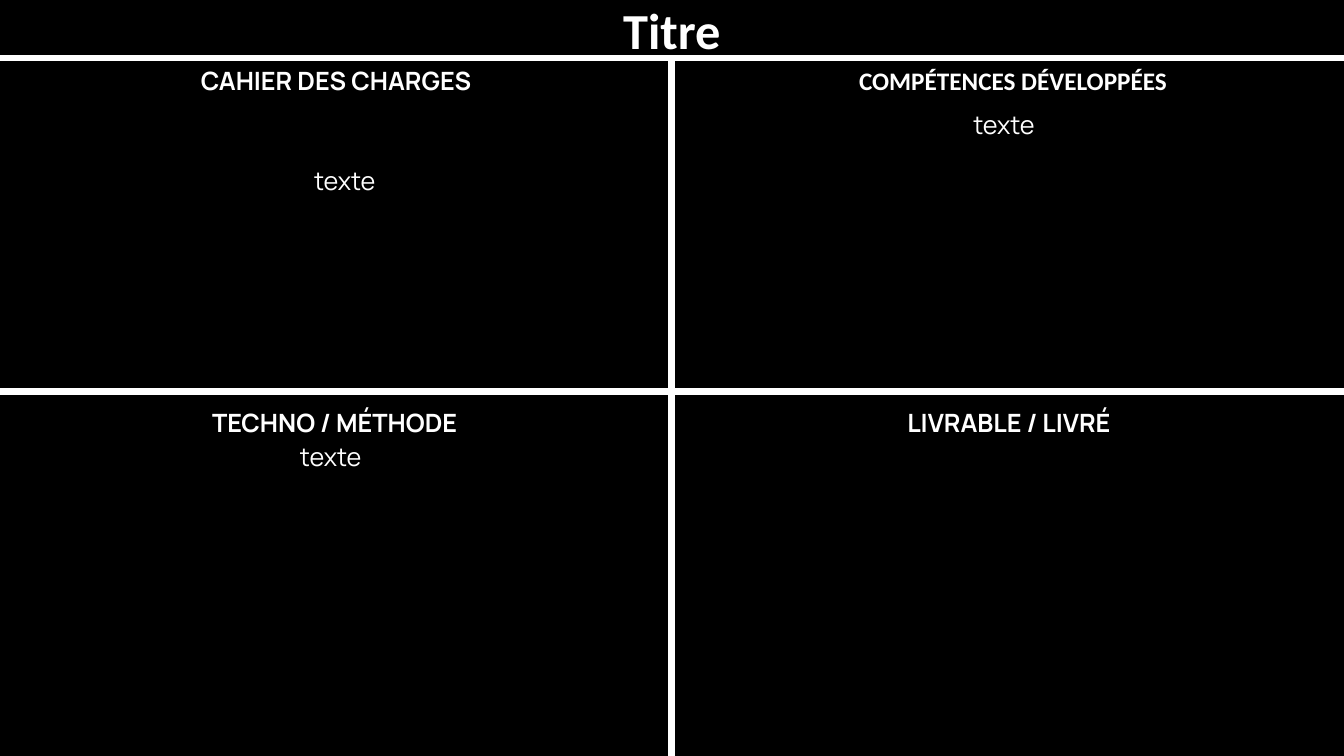
import pptx
import pptx.dml.color
import pptx.enum.shapes
import pptx.enum.text
import pptx.util

BLACK = pptx.dml.color.RGBColor(0, 0, 0)
WHITE = pptx.dml.color.RGBColor(255, 255, 255)
COLUMN = pptx.util.Inches(13.33) / 200
ROW = pptx.util.Inches(7.5) / 150
LINE_ROWS = 8


def place(box):
    """Turn a box in grid columns and rows into slide lengths."""
    left, top, width, height = box
    return (round(left * COLUMN), round(top * ROW),
            round(width * COLUMN), round(height * ROW))


def add_rule(page, box):
    """Draw a white separator bar filling the box."""
    rule = page.shapes.add_shape(
        pptx.enum.shapes.MSO_SHAPE.RECTANGLE, *place(box))
    rule.shadow.inherit = False
    rule.fill.solid()
    rule.fill.fore_color.rgb = WHITE
    rule.line.color.rgb = WHITE
    rule.line.width = pptx.util.Pt(1)


def add_label(page, box, text, font="Manrope", size=18, bold=False):
    """Write one centred white line in the box and return its shape."""
    label = page.shapes.add_textbox(*place(box))
    label.text_frame.word_wrap = True
    label.text_frame.text = text
    para = label.text_frame.paragraphs[0]
    para.alignment = pptx.enum.text.PP_ALIGN.CENTER
    span = para.runs[0]
    span.font.name = font
    span.font.size = pptx.util.Pt(size)
    span.font.bold = bold
    span.font.color.rgb = WHITE
    return label


def add_title(page, box):
    """Set the slide title at the bottom of the box."""
    title = add_label(page, box, "Titre", "Calibri", 36, True)
    title.text_frame.vertical_anchor = pptx.enum.text.MSO_ANCHOR.BOTTOM
    title.text_frame.paragraphs[0].line_spacing = 0.9


def add_panel(page, box, heading, heading_offset, body_offset=None,
              font="Manrope"):
    """Fill a quadrant with its heading and optional body text."""
    left, top, width, _ = box
    across, down = heading_offset
    add_label(page, (left + across, top + down, width, LINE_ROWS),
              heading, font, bold=True)
    if body_offset:
        across, down = body_offset
        add_label(page, (left + across, top + down, width, LINE_ROWS),
                  "texte")


deck = pptx.Presentation()
deck.slide_width = pptx.util.Inches(13.33)
deck.slide_height = pptx.util.Inches(7.5)
page = deck.slides.add_slide(deck.slide_layouts[6])
page.background.fill.solid()
page.background.fill.fore_color.rgb = BLACK

for rule_box in ((0, 11, 200, 1), (99.55, 12, 0.75, 138), (0, 77.2, 200, 1)):
    add_rule(page, rule_box)

add_title(page, (0, 0, 200, 13))
add_panel(page, (0, 12, 100, 65), "CAHIER DES CHARGES", (0, 0), (1.3, 19.8))
add_panel(page, (100, 12, 100, 65), "COMPÉTENCES DÉVELOPPÉES", (0.75, 0),
          (-0.6, 8.8), "Calibri")
add_panel(page, (0, 78, 100, 72), "TECHNO / MÉTHODE", (-0.2, 1.9),
          (-0.8, 8.6))
add_panel(page, (100, 78, 100, 72), "LIVRABLE / LIVRÉ", (0.15, 1.9))

deck.save("out.pptx")
